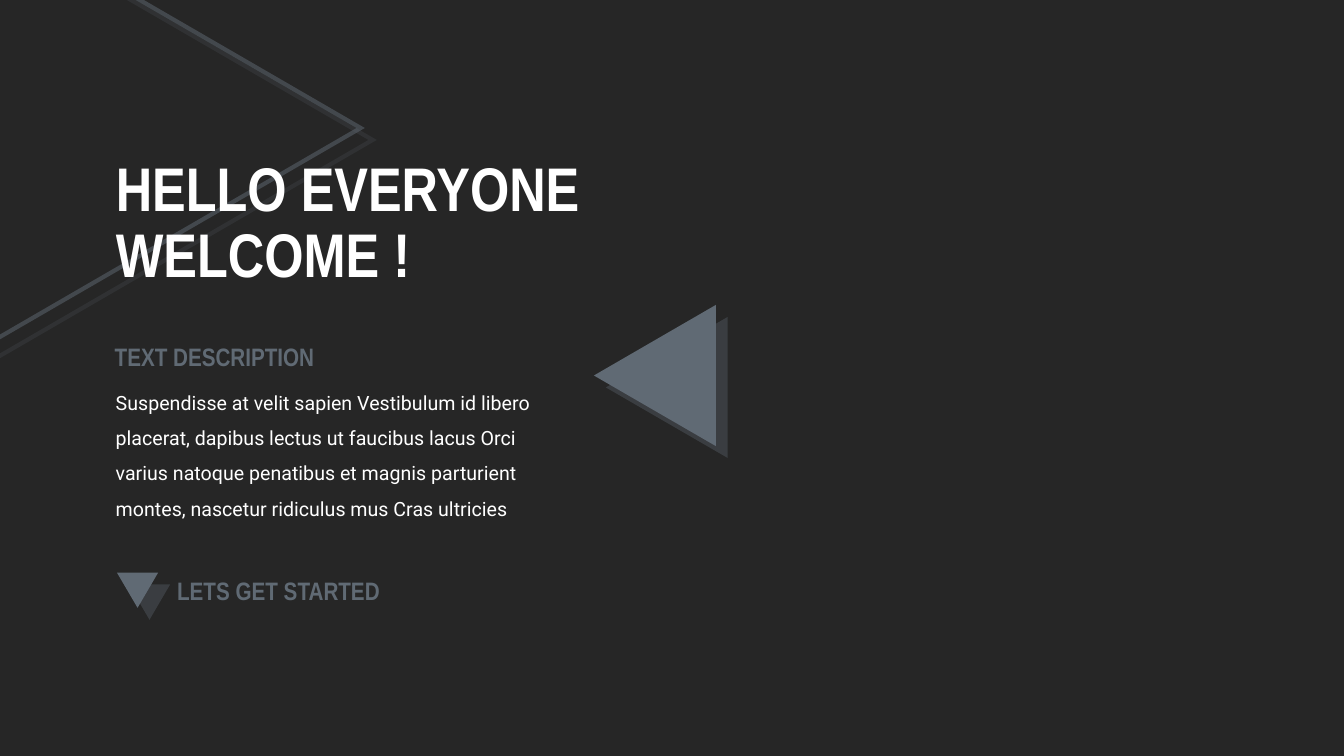
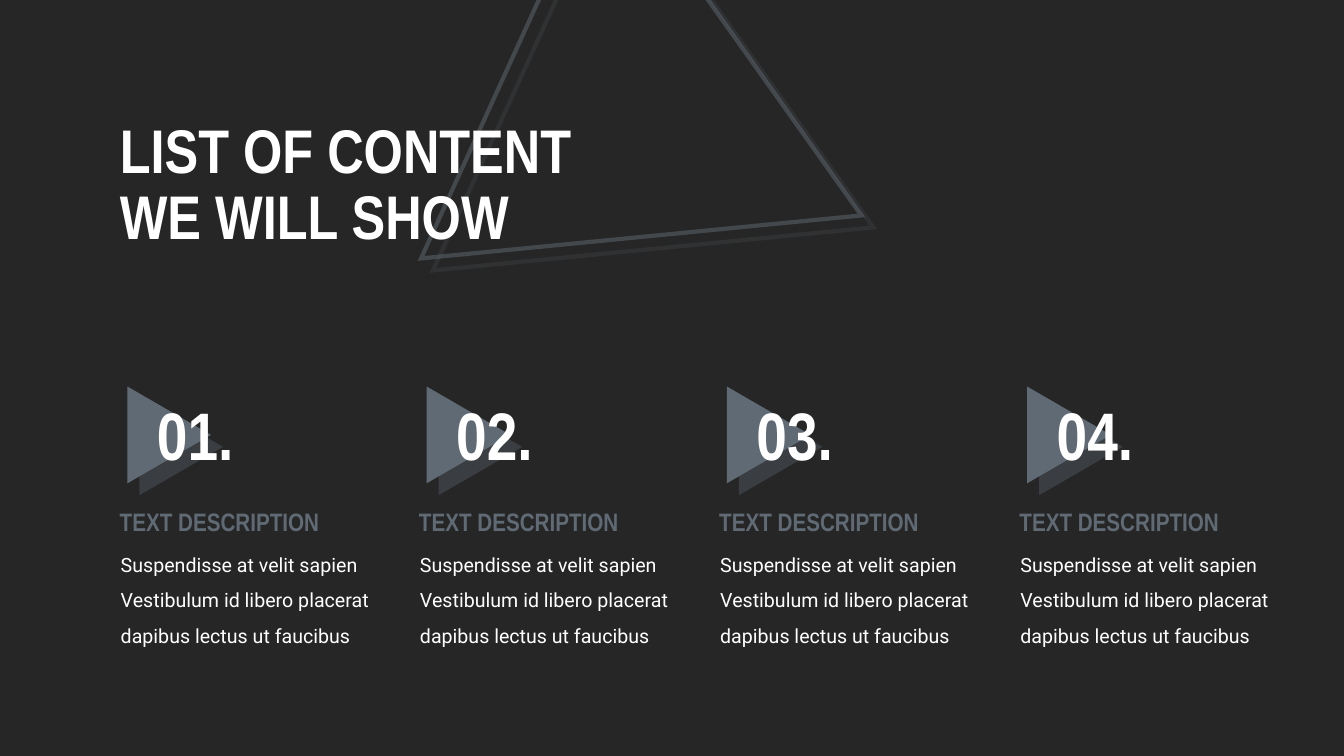
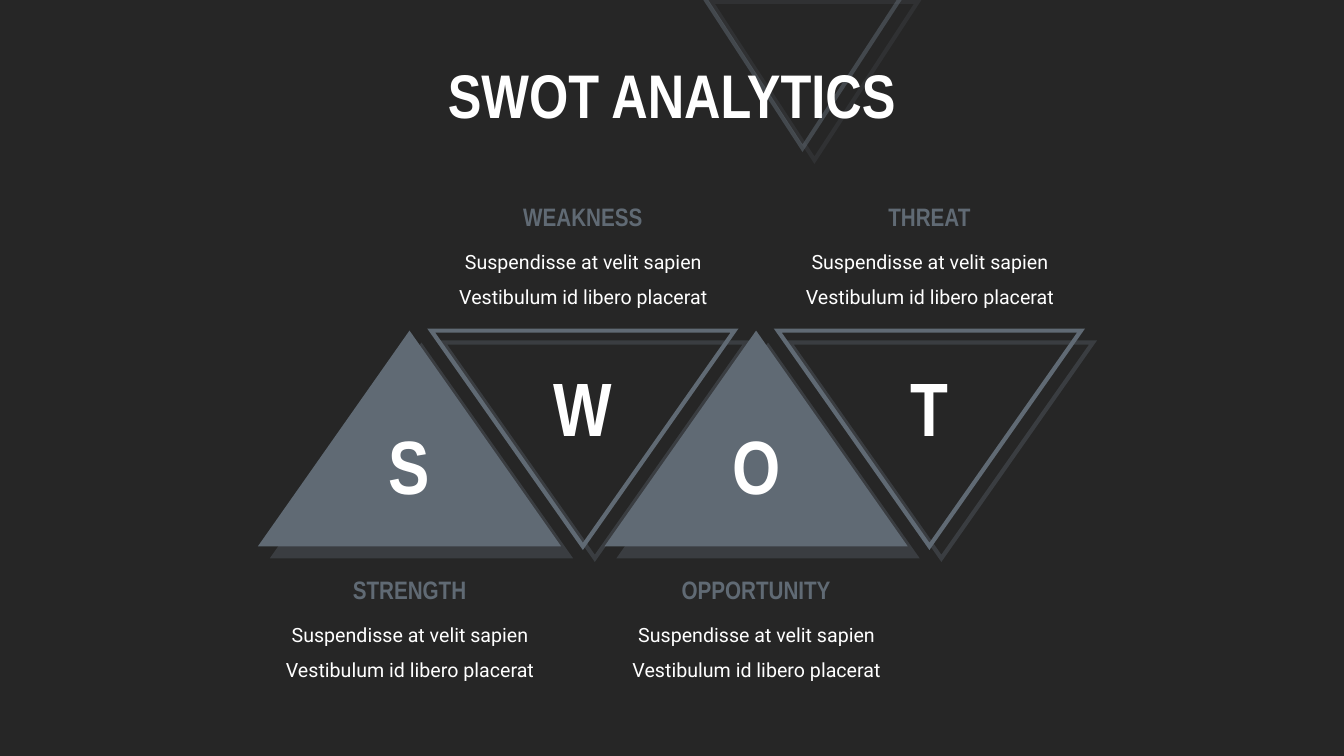
"""Build a three-slide dark deck of triangles: welcome, contents and SWOT."""

from lxml import etree
from pptx import Presentation
from pptx.dml.color import RGBColor
from pptx.enum.shapes import MSO_SHAPE
from pptx.enum.text import MSO_ANCHOR, MSO_AUTO_SIZE, PP_ALIGN
from pptx.oxml.ns import qn
from pptx.util import Pt

PX = 9144
TRIANGLE = MSO_SHAPE.ISOSCELES_TRIANGLE
LEFT, CENTER = PP_ALIGN.LEFT, PP_ALIGN.CENTER
MIDDLE = MSO_ANCHOR.MIDDLE
GROW, FIXED = MSO_AUTO_SIZE.SHAPE_TO_FIT_TEXT, MSO_AUTO_SIZE.NONE

CHARCOAL = RGBColor(0x26, 0x26, 0x26)
SLATE = RGBColor(0x60, 0x6A, 0x74)
WHITE = RGBColor(0xFF, 0xFF, 0xFF)

DISPLAY_FONT = "Arial Narrow"
BODY_FONT = "Roboto"
SHORT_TEXT = "Suspendisse at velit sapien Vestibulum id libero placerat"


class Deck:
    """Hold the deck style and the slide being drawn."""

    def __init__(self):
        """Start a presentation with the shared background."""
        self.presentation = Presentation()
        self.presentation.slide_width = 1334 * PX
        self.presentation.slide_height = 750 * PX
        background = self.presentation.slide_master.background.fill
        background.solid()
        background.fore_color.rgb = CHARCOAL
        self.slide = None

    def add_slide(self):
        """Begin a title-only slide."""
        layout = self.presentation.slide_layouts.get_by_name("Title Only")
        self.slide = self.presentation.slides.add_slide(layout)

    def set_text(self, shape, text, size, font, color, bold, align, spacing):
        """Fill a shape with one formatted paragraph."""
        shape.text_frame.word_wrap = True
        paragraph = shape.text_frame.paragraphs[0]
        paragraph.text = text
        paragraph.alignment = align
        paragraph.line_spacing = spacing
        for run in paragraph.runs:
            run.font.size = Pt(size)
            run.font.name = font
            run.font.color.rgb = color
            run.font.bold = bold

    def title(self, text, left, top, width, height, align=LEFT):
        """Place the title above the shapes drawn so far."""
        shape = self.slide.shapes.title
        shape.element.getparent().append(shape.element)
        shape.left, shape.top = left * PX, top * PX
        shape.width, shape.height = width * PX, height * PX
        shape.text_frame.auto_size = FIXED
        shape.text_frame.vertical_anchor = MIDDLE
        self.set_text(shape, text, 44, DISPLAY_FONT, WHITE, True, align, 0.9)

    def text_box(self, text, left, top, width, height, size, font, color,
                 bold, align, spacing):
        """Add a text box that grows with its text."""
        shape = self.slide.shapes.add_textbox(
            left * PX, top * PX, width * PX, height * PX)
        shape.text_frame.auto_size = GROW
        self.set_text(shape, text, size, font, color, bold, align, spacing)

    def heading(self, text, left, top, align=LEFT):
        """Add a slate heading."""
        self.text_box(text, left, top, 245, 40, 18, DISPLAY_FONT, SLATE,
                      True, align, 1.0)

    def body(self, text, left, top, width, height, align=LEFT):
        """Add a block of running text."""
        self.text_box(text, left, top, width, height, 14, BODY_FONT, WHITE,
                      False, align, 1.5)

    def big_label(self, text, left, top, width, height, size, align=LEFT):
        """Add a large white number or letter."""
        self.text_box(text, left, top, width, height, size, DISPLAY_FONT,
                      WHITE, True, align, 1.0)

    def triangle(self, left, top, width, height, rotation=0, filled=True,
                 line_opacity=100):
        """Add a filled or outlined triangle with an offset shadow."""
        shape = self.slide.shapes.add_shape(
            TRIANGLE, left * PX, top * PX, width * PX, height * PX)
        shape.rotation = rotation
        if filled:
            shape.fill.solid()
            shape.fill.fore_color.rgb = SLATE
            shape.line.fill.background()
        else:
            shape.fill.background()
            self.outline(shape, line_opacity)
        self.drop_shadow(shape)

    def outline(self, shape, opacity):
        """Give a shape a sharp-cornered slate line."""
        shape.line.color.rgb = SLATE
        shape.line.width = Pt(3)
        line = shape.element.spPr.find(qn("a:ln"))
        etree.SubElement(line, qn("a:miter"), lim="800000")
        color = line.find(".//" + qn("a:srgbClr"))
        etree.SubElement(color, qn("a:alpha"), val=str(opacity * 1000))

    def drop_shadow(self, shape):
        """Cast a hard translucent shadow down and to the right."""
        shape.shadow.inherit = False
        effects = shape.element.spPr.find(qn("a:effectLst"))
        shadow = etree.SubElement(
            effects, qn("a:outerShdw"), blurRad="0", dist=str(Pt(12.1)),
            dir="2700000", algn="tl", rotWithShape="0")
        color = etree.SubElement(shadow, qn("a:srgbClr"), val=str(SLATE))
        etree.SubElement(color, qn("a:alpha"), val="35000")

    def backdrop(self, left, top, width, height, rotation):
        """Add the faint outlined triangle behind a title."""
        self.triangle(left, top, width, height, rotation, False, 50)


def welcome_slide(deck):
    """Draw the opening slide."""
    deck.add_slide()
    deck.backdrop(-52, -63, 440, 380, 90)
    deck.title("HELLO EVERYONE\nWELCOME !", 105, 144, 750, 158)
    deck.triangle(580, 312, 140, 121, 270)
    deck.body("Suspendisse at velit sapien Vestibulum id libero placerat, "
              "dapibus lectus ut faucibus lacus Orci varius natoque "
              "penatibus et magnis parturient montes, nascetur ridiculus "
              "mus Cras ultricies", 105, 371, 451, 150)
    deck.heading("TEXT DESCRIPTION", 104, 334)
    deck.triangle(116, 568, 41, 35, 180)
    deck.heading("LETS GET STARTED", 166, 566)


def contents_slide(deck):
    """Draw the four numbered topics."""
    deck.add_slide()
    deck.backdrop(462, -55, 440, 380, 114.5)
    deck.title("LIST OF CONTENT\nWE WILL SHOW", 109, 106, 562, 158)
    for index in range(4):
        left = 109 + index * 893 // 3
        deck.triangle(left + 11, 390, 96, 83, 90)
        deck.big_label(f"{index + 1:02d}.", left + 37, 385, 132, 90, 48)
        deck.body(SHORT_TEXT + " dapibus lectus ut faucibus",
                  left + 1, 532, 281, 115)
        deck.heading("TEXT DESCRIPTION", left, 497)


def swot_slide(deck):
    """Draw the row of alternating SWOT triangles."""
    deck.add_slide()
    deck.backdrop(694, -10, 205, 157, 180)
    deck.title("SWOT ANALYTICS", 327, 49, 680, 98, CENTER)
    names = ["STRENGTH", "WEAKNESS", "OPPORTUNITY", "THREAT"]
    columns = [(256 + 172 * index, index % 2 == 0, name)
               for index, name in enumerate(names)]
    for left, upright, _ in columns:
        deck.triangle(left, 328, 301, 214, 0 if upright else 180, upright)
    for left, upright, name in columns:
        letter_top, heading_top = (411, 565) if upright else (353, 195)
        deck.big_label(name[0], left + 100, letter_top, 101, 100, 54, CENTER)
        deck.body(SHORT_TEXT, left + 2, heading_top + 36, 298, 80, CENTER)
        deck.heading(name, left + 28, heading_top, CENTER)


def main():
    """Build and save the deck."""
    deck = Deck()
    welcome_slide(deck)
    contents_slide(deck)
    swot_slide(deck)
    deck.presentation.save("out.pptx")


if __name__ == "__main__":
    main()
